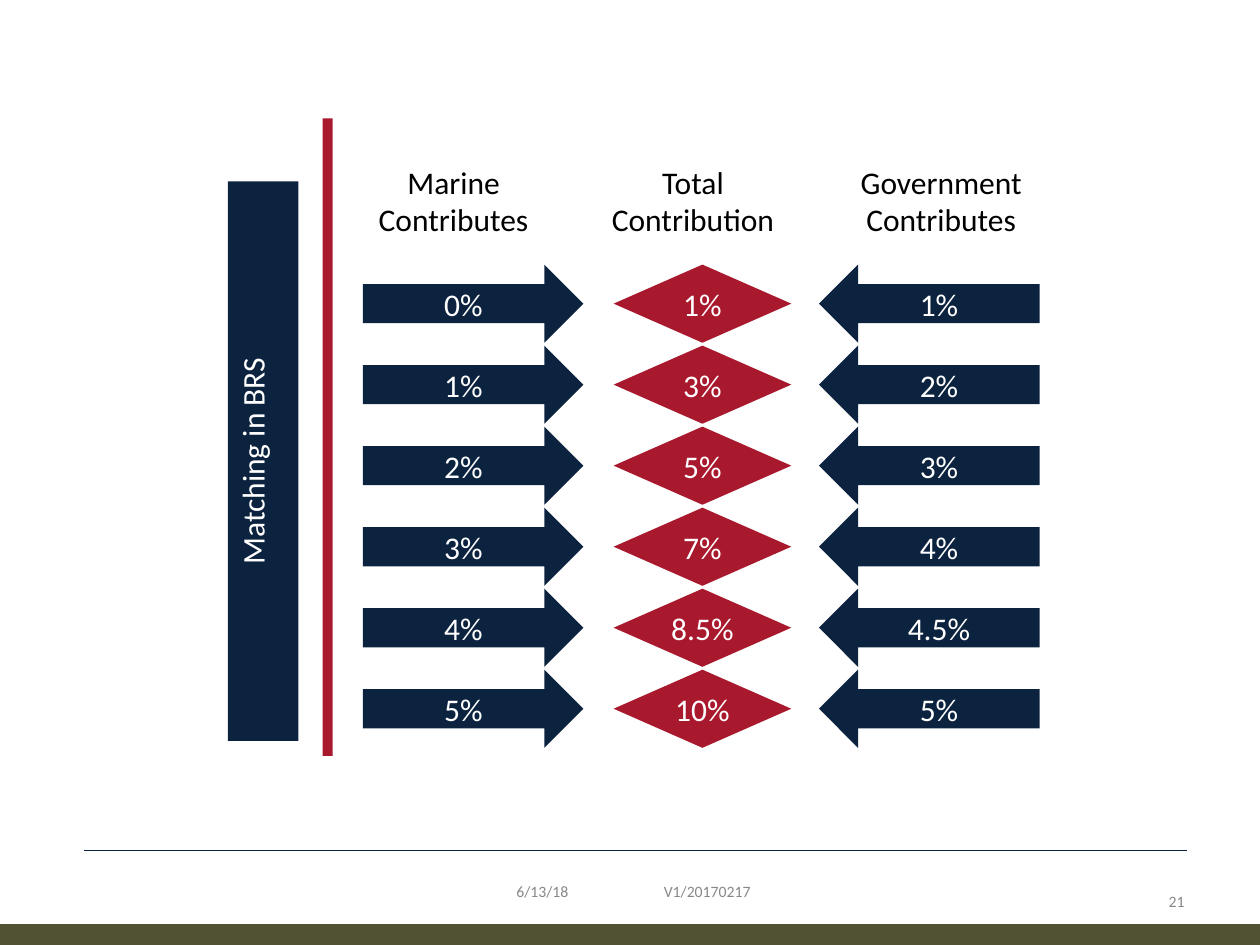
import pptx
import pptx.dml.color
import pptx.enum.shapes
import pptx.enum.text
import pptx.oxml.ns
import pptx.util
import lxml.etree

Inches = pptx.util.Inches
Pt = pptx.util.Pt
RGBColor = pptx.dml.color.RGBColor
Shape = pptx.enum.shapes.MSO_SHAPE
Align = pptx.enum.text.PP_ALIGN
Anchor = pptx.enum.text.MSO_ANCHOR

NAVY = RGBColor(0x0C, 0x23, 0x40)
RED = RGBColor(0xA9, 0x19, 0x2E)
OLIVE = RGBColor(0x51, 0x52, 0x34)
STONE = RGBColor(0x8E, 0x88, 0x7C)
GRAY = RGBColor(0x88, 0x88, 0x88)
BLACK = RGBColor(0x00, 0x00, 0x00)
WHITE = RGBColor(0xFF, 0xFF, 0xFF)

presentation = pptx.Presentation()
presentation.slide_width = Inches(10)
presentation.slide_height = Inches(7.5)
slide = presentation.slides.add_slide(presentation.slide_layouts[6])


def write_text(shape, text, size, color, align, anchor, margins=(0.07, 0.04)):
    frame = shape.text_frame
    frame.word_wrap = True
    frame.vertical_anchor = anchor
    frame.margin_left = frame.margin_right = Inches(margins[0])
    frame.margin_top = frame.margin_bottom = Inches(margins[1])
    frame.text = text
    paragraph = frame.paragraphs[0]
    paragraph.alignment = align
    font = paragraph.runs[0].font
    font.name = "Calibri"
    font.size = Pt(size)
    font.color.rgb = color


def add_block(kind, left, top, width, height, color, rotation=0):
    shape = slide.shapes.add_shape(
        kind, Inches(left), Inches(top), Inches(width), Inches(height))
    shape.shadow.inherit = False
    shape.fill.solid()
    shape.fill.fore_color.rgb = color
    shape.line.fill.background()
    shape.rotation = rotation
    return shape


# Footer rules: (left, right, y, color, weight)
for left, right, y, color, weight in [
    (0, 10, 7.43, STONE, 10),
    (0, 10, 7.42, OLIVE, 12),
    (0.67, 9.42, 6.75, NAVY, 0.75),
]:
    rule = slide.shapes.add_connector(
        pptx.enum.shapes.MSO_CONNECTOR.STRAIGHT,
        Inches(left), Inches(y), Inches(right), Inches(y))
    rule.line.color.rgb = color
    rule.line.width = Pt(weight)
    lxml.etree.SubElement(rule._element.spPr, pptx.oxml.ns.qn("a:effectLst"))

# Footer texts
for text, left, width, align, anchor in [
    ("21", 8.67, 0.83, Align.RIGHT, Anchor.MIDDLE),
    ("V1/20170217", 5.17, 2.33, Align.LEFT, Anchor.TOP),
    ("6/13/18", 4, 1.08, Align.LEFT, Anchor.TOP),
]:
    box = slide.shapes.add_textbox(Inches(left), Inches(6.95), Inches(width), Inches(0.4))
    write_text(box, text, 9, GRAY, align, anchor, (0.1, 0.05))

# Column headings
for text, left, width in [
    ("Marine Contributes", 2.88, 1.44),
    ("Total Contribution", 4.72, 1.56),
    ("Government Contributes", 6.69, 1.56),
]:
    box = slide.shapes.add_textbox(Inches(left), Inches(1.25), Inches(width), Inches(0.68))
    write_text(box, text, 18, BLACK, Align.CENTER, Anchor.TOP)

# Contribution grid: one column per shape kind, rows at an equal pitch
FIRST_ROW = 2.1
ROW_PITCH = 0.643
ROW_HEIGHT = 0.62
columns = [
    (Shape.RIGHT_ARROW, 2.88, 1.75, NAVY, ["0%", "1%", "2%", "3%", "4%", "5%"]),
    (Shape.LEFT_ARROW, 6.5, 1.75, NAVY, ["1%", "2%", "3%", "4%", "4.5%", "5%"]),
    (Shape.FLOWCHART_DECISION, 4.87, 1.41, RED, ["1%", "3%", "5%", "7%", "8.5%", "10%"]),
]
for kind, left, width, color, shares in columns:
    for row, share in enumerate(shares):
        block = add_block(kind, left, FIRST_ROW + row * ROW_PITCH, width, ROW_HEIGHT, color)
        write_text(block, share, 18, WHITE, Align.CENTER, Anchor.MIDDLE)

# Vertical title bar and red divider
title_bar = add_block(Shape.RECTANGLE, -0.13, 3.38, 4.44, 0.56, NAVY, rotation=270)
write_text(title_bar, "Matching in BRS", 18, WHITE, Align.CENTER, Anchor.TOP)
add_block(Shape.RECTANGLE, 0.07, 3.43, 5.06, 0.08, RED, rotation=90)

presentation.save("out.pptx")
